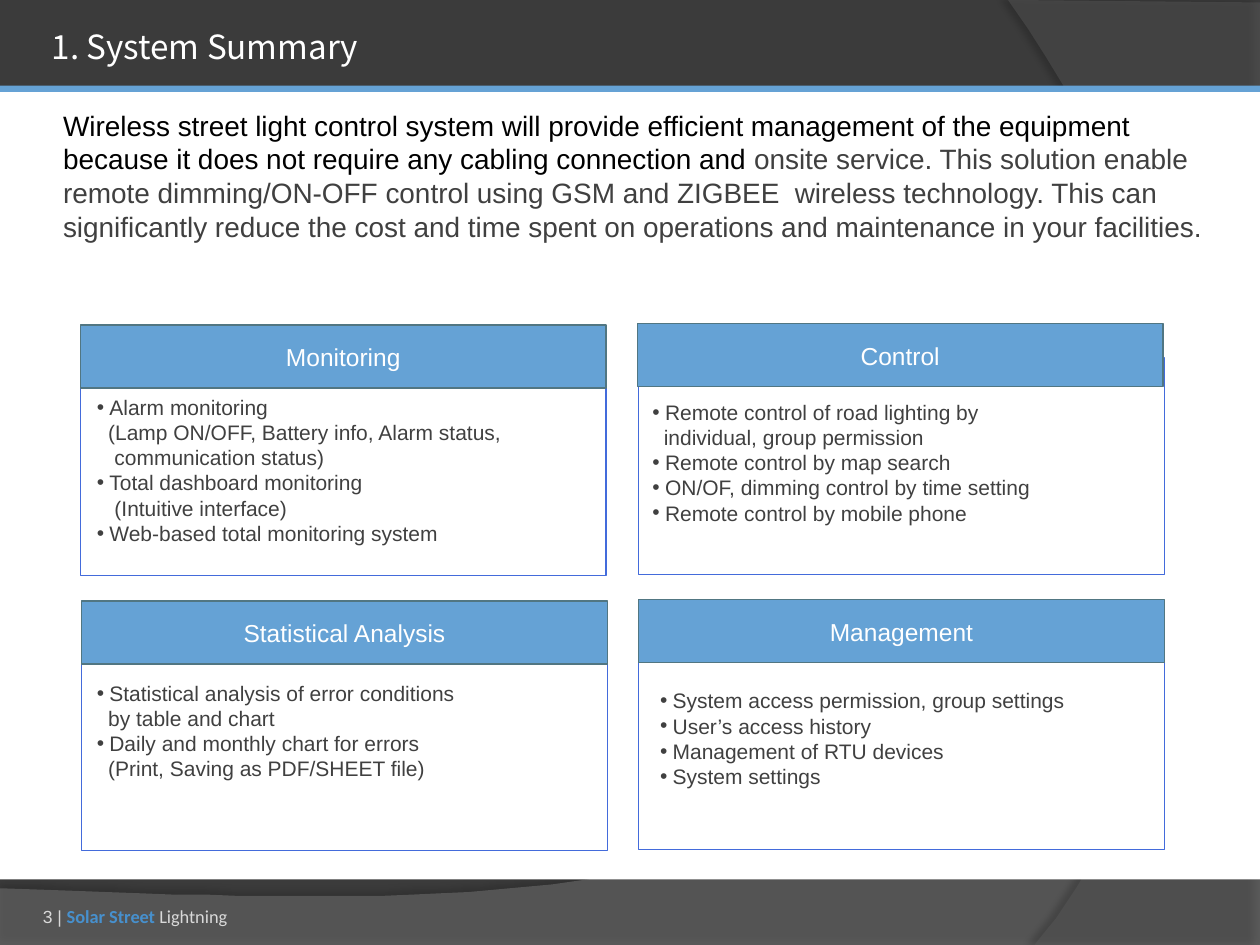
"""Builds the system summary slide: intro text above four feature panels."""
from dataclasses import dataclass
from typing import Any, NamedTuple

from lxml.etree import SubElement as Sub
from pptx import Presentation
from pptx.dml.color import RGBColor as Rgb
from pptx.enum.shapes import MSO_SHAPE as Kind
from pptx.enum.text import MSO_ANCHOR as Anchor, PP_ALIGN as Align
from pptx.oxml.ns import qn
from pptx.util import Pt

PX = 9144


@dataclass(frozen=True)
class Theme:
    back: str = "3B3B3B"
    white: str = "FFFFFF"
    black: str = "000000"
    blue: str = "65A2D5"
    edge: str = "517682"
    frame: str = "436BDB"
    text: str = "404040"
    pale: str = "D9D9D9"
    brand: str = "4790CD"
    wave: str = "7F7F7F"
    fan: str = "5E5E5E"
    sans: str = "Arial"
    title: float = 19
    body: float = 16
    head: float = 14
    list: float = 12
    foot: float = 10


class Box(NamedTuple):
    left: int
    top: int
    width: int
    height: int


class Item(NamedTuple):
    text: str
    inset: int = 0


class Wave(NamedTuple):
    line: list
    curve: list
    fill: str
    alpha: int
    shade: int
    dist: float
    angle: int


class Panel(NamedTuple):
    title: str
    head: Box
    frame: Box
    body: Box
    items: list


T = Theme()

WAVES = [
    Wave([(0, 705), (0, 750), (1000, 750), (1000, 520)],
         [(559, 729), (391, 719), (0, 705)], T.wave, 45, 35, 3.5, 270),
    Wave([(1000, 2), (1000, 750), (821, 750)],
         [(935, 619), (1018, 300), (800, 0)], T.fan, 40, 45, 4, 180),
]

PANELS = [
    Panel("Monitoring", Box(64, 258, 417, 50), Box(64, 285, 417, 172), Box(67, 308, 422, 131), [
        Item("Alarm monitoring"),
        Item("(Lamp ON/OFF, Battery info, Alarm status,", 9),
        Item("communication status)", 14),
        Item("Total dashboard monitoring"),
        Item("(Intuitive interface)", 14),
        Item("Web-based total monitoring system")]),
    Panel("Control", Box(506, 257, 417, 50), Box(507, 284, 417, 172), Box(508, 312, 412, 111), [
        Item("Remote control of road lighting by"),
        Item("individual, group permission", 9),
        Item("Remote control by map search"),
        Item("ON/OF, dimming control by time setting"),
        Item("Remote control by mobile phone")]),
    Panel("Statistical Analysis", Box(65, 477, 417, 50), Box(65, 503, 417, 172), Box(67, 535, 390, 111), [
        Item("Statistical analysis of error conditions"),
        Item("by table and chart", 9),
        Item("Daily and monthly chart for errors"),
        Item("(Print, Saving as PDF/SHEET file)", 9)]),
    Panel("Management", Box(507, 476, 417, 50), Box(507, 502, 417, 172), Box(514, 541, 408, 91), [
        Item("System access permission, group settings"),
        Item("User’s access history"),
        Item("Management of RTU devices"),
        Item("System settings")]),
]


def apply(thing: Any, form: dict) -> None:
    """Set each named value on a thing."""
    for name, value in form.items():
        setattr(thing, name, value)


def place(shape: Any, box: Box) -> None:
    """Move and size a shape to a box in px."""
    apply(shape, {name: value * PX for name, value in box._asdict().items()})


def frame(shape: Any, pads: tuple, anchor: Any) -> Any:
    """Set the insets and anchor of a shape's text."""
    sides = ("margin_left", "margin_top", "margin_right", "margin_bottom")
    area = shape.text_frame
    apply(area, {side: pad * PX for side, pad in zip(sides, pads)})
    apply(area, {"word_wrap": True, "vertical_anchor": anchor})
    return area


def write(para: Any, text: str, size: float, color: str,
          name: str = T.sans, bold: bool = False) -> None:
    """Add a styled run to a paragraph."""
    run = para.add_run()
    run.text = text
    apply(run.font, {"size": Pt(size), "name": name, "bold": bold})
    run.font.color.rgb = Rgb.from_string(color)


def indent(para: Any, left: int, hang: int = 0, mark: str = "") -> None:
    """Set a paragraph's indent and its bullet, if any."""
    props = para._p.get_or_add_pPr()
    props.set("marL", str(left * PX))
    props.set("indent", str(-hang * PX))
    if mark:
        Sub(props, qn("a:buFont"), typeface=T.sans)
        Sub(props, qn("a:buChar"), char=mark)
    else:
        Sub(props, qn("a:buNone"))


def block(slide: Any, box: Box, fill: str = "", line: str = "") -> Any:
    """Draw a flat rectangle."""
    shape = slide.shapes.add_shape(Kind.RECTANGLE, *(n * PX for n in box))
    shape.shadow.inherit = False
    if fill:
        shape.fill.solid()
        shape.fill.fore_color.rgb = Rgb.from_string(fill)
    else:
        shape.fill.background()
    if line:
        shape.line.color.rgb = Rgb.from_string(line)
        shape.line.width = Pt(0.75)
    else:
        shape.line.fill.background()
    return shape


def bend(start: tuple, curve: list, steps: int = 40) -> list:
    """Sample points along a cubic curve."""
    def at(t: float, axis: int) -> float:
        a, b, c, d = (point[axis] for point in (start, *curve))
        u = 1 - t
        return a * u**3 + 3 * b * u * u * t + 3 * c * u * t * t + d * t**3
    return [(at(i / steps, 0), at(i / steps, 1)) for i in range(1, steps + 1)]


def sweep(slide: Any, wave: Wave) -> None:
    """Draw a see-through curved shape with a soft shadow."""
    pen = slide.shapes.build_freeform(*wave.line[0], scale=float(PX))
    pen.add_line_segments(wave.line[1:] + bend(wave.line[-1], wave.curve))
    shape = pen.convert_to_shape()
    shape.line.fill.background()
    shape.fill.solid()
    shape.fill.fore_color.rgb = Rgb.from_string(wave.fill)
    props = shape._element.spPr
    tint = props.find(qn("a:solidFill"))[0]
    Sub(tint, qn("a:alpha"), val=str(wave.alpha * 1000))
    glow = Sub(Sub(props, qn("a:effectLst")), qn("a:outerShdw"), blurRad=str(Pt(4)),
               dist=str(Pt(wave.dist)), dir=str(wave.angle * 60000), rotWithShape="0")
    shade = Sub(glow, qn("a:srgbClr"), val=T.black)
    Sub(shade, qn("a:alpha"), val=str(wave.shade * 1000))


def panel(slide: Any, part: Panel) -> None:
    """Draw a framed panel with its heading and list."""
    block(slide, part.frame, line=T.frame)
    head = block(slide, part.head, T.blue, T.edge)
    para = frame(head, (10, 5, 10, 5), Anchor.MIDDLE).paragraphs[0]
    para.alignment = Align.CENTER
    write(para, part.title, T.head, T.white)
    note = slide.shapes.add_textbox(*(n * PX for n in part.body))
    area = frame(note, (10, 5, 10, 5), Anchor.TOP)
    for i, item in enumerate(part.items):
        para = area.add_paragraph() if i else area.paragraphs[0]
        indent(para, item.inset) if item.inset else indent(para, 10, 10, "•")
        write(para, item.text, T.list, T.text)


def main() -> None:
    """Build and save the slide."""
    deck = Presentation()
    apply(deck, {"slide_width": 1000 * PX, "slide_height": 750 * PX})
    slide = deck.slides.add_slide(deck.slide_layouts[1])
    slide.background.fill.solid()
    slide.background.fill.fore_color.rgb = Rgb.from_string(T.back)
    for wave in WAVES:
        sweep(slide, wave)
    block(slide, Box(0, 72, 1000, 626), T.white)
    block(slide, Box(0, 68, 1000, 5), T.blue)

    title, body = slide.placeholders
    for holder in (title, body):
        slide.shapes._spTree.append(holder._element)
    place(title, Box(36, -12, 862, 98))
    para = frame(title, (5, 5, 5, 5), Anchor.MIDDLE).paragraphs[0]
    para.alignment = Align.LEFT
    write(para, "1. System Summary", T.title, T.white, "Noto Sans CJK SC")

    place(body, Box(34, 81, 947, 547))
    para = frame(body, (12, 5, 10, 5), Anchor.TOP).paragraphs[0]
    para.space_before = Pt(0)
    indent(para, 4)
    write(para, "Wireless street light control system will provide efficient management of the "
          "equipment because it does not require any cabling connection and ", T.body, T.black)
    write(para, "onsite service. This solution enable remote dimming/ON-OFF control using GSM and "
          "ZIGBEE  wireless technology. This can significantly reduce the cost and time spent on "
          "operations and maintenance in your facilities.", T.body, T.text)

    foot = slide.shapes.add_textbox(*(n * PX for n in Box(34, 696, 430, 40)))
    para = frame(foot, (0, 0, 0, 0), Anchor.BOTTOM).paragraphs[0]
    write(para, "3 | ", T.foot, T.pale)
    write(para, "Solar Street ", T.foot + 0.5, T.brand, "Calibri", True)
    write(para, "Lightning", T.foot + 0.5, T.pale, "Calibri")

    for part in PANELS:
        panel(slide, part)
    deck.save("out.pptx")


if __name__ == "__main__":
    main()
